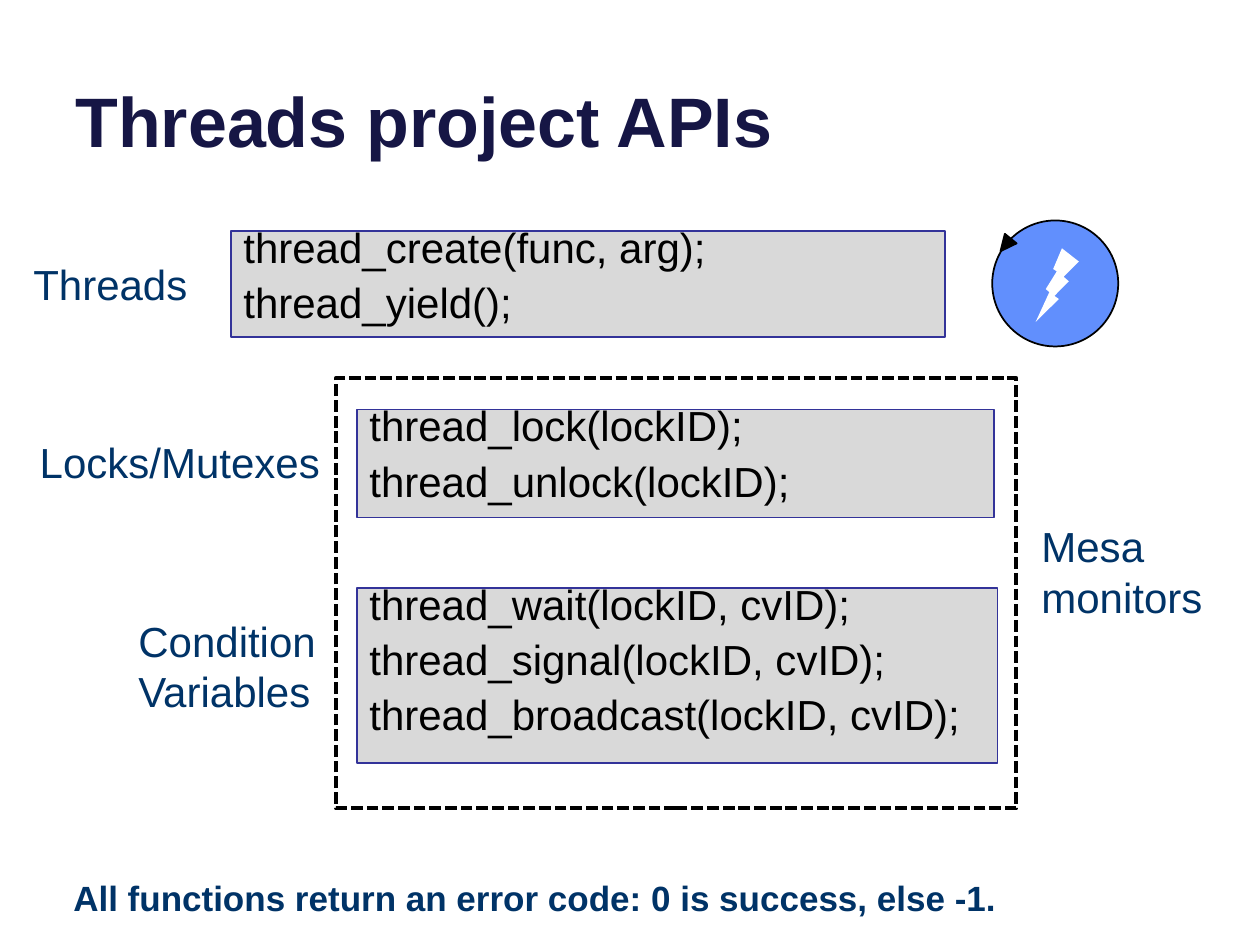
from dataclasses import dataclass

import pptx
import pptx.dml.color
import pptx.enum.dml
import pptx.enum.shapes
import pptx.enum.text
import pptx.util

COLS, ROWS = 120, 90  # twelve cells to the inch
NAVY, BLACK, WHITE = "003367", "000000", "FFFFFF"
KIND = pptx.enum.shapes.MSO_SHAPE

deck = pptx.Presentation()
deck.slide_width = pptx.util.Inches(10)
deck.slide_height = pptx.util.Inches(7.5)
slide = deck.slides.add_slide(deck.slide_layouts[5])


@dataclass
class Cell:
    col: float
    row: float
    wide: float
    high: float

    def box(self) -> tuple:
        across, down = deck.slide_width / COLS, deck.slide_height / ROWS
        return (round(self.col * across), round(self.row * down),
                round(self.wide * across), round(self.high * down))


@dataclass
class Code:
    cell: Cell
    lines: tuple


@dataclass
class Label:
    text: str
    cell: Cell
    wrap: bool = True
    size: int = 24
    bold: bool = False


def shade(code: str) -> pptx.dml.color.RGBColor:
    return pptx.dml.color.RGBColor.from_string(code)


def style(para, size: int, color: str, bold: bool = False) -> None:
    para.alignment = pptx.enum.text.PP_ALIGN.LEFT
    for run in para.runs:
        run.font.name = "Arial"
        run.font.size = pptx.util.Pt(size)
        run.font.bold = bold
        run.font.color.rgb = shade(color)


def draw(kind, cell: Cell, fill: str = "", line: str = "", width: float = 1):
    shape = slide.shapes.add_shape(kind, *cell.box())
    shape.shadow.inherit = False
    if fill:
        shape.fill.solid()
        shape.fill.fore_color.rgb = shade(fill)
    else:
        shape.fill.background()
    if line:
        shape.line.color.rgb = shade(line)
        shape.line.width = pptx.util.Pt(width)
    else:
        shape.line.fill.background()
    return shape


def panel(code: Code) -> None:
    shape = draw(KIND.RECTANGLE, code.cell, "D9D9D9", "333399")
    frame = shape.text_frame
    frame.text = "\n".join(code.lines)
    frame.word_wrap = True
    frame.vertical_anchor = pptx.enum.text.MSO_ANCHOR.TOP
    for index, para in enumerate(frame.paragraphs):
        style(para, 24, BLACK)
        para.line_spacing = 0.65
        para.space_before = pptx.util.Pt(12.8 if index else 0)


def label(item: Label) -> None:
    frame = slide.shapes.add_textbox(*item.cell.box()).text_frame
    frame.text = item.text
    frame.word_wrap = item.wrap
    frame.auto_size = pptx.enum.text.MSO_AUTO_SIZE.SHAPE_TO_FIT_TEXT
    style(frame.paragraphs[0], item.size, NAVY, item.bold)


# Title
title = slide.shapes.title
title.left, title.top, title.width, title.height = Cell(6, -4.4, 108, 20.4).box()
title.text_frame.text = "Threads project APIs"
title.text_frame.vertical_anchor = pptx.enum.text.MSO_ANCHOR.BOTTOM
style(title.text_frame.paragraphs[0], 40, "161645", True)

# Thread icon: disc, bolt and arrow tip
draw(KIND.OVAL, Cell(94.5, 21, 12, 12), "618FFD", BLACK)
bolt = draw(KIND.LIGHTNING_BOLT, Cell(98.65, 23.65, 4.1, 7), WHITE)
bolt.element.spPr.xfrm.set("flipH", "1")
tip = draw(KIND.ISOSCELES_TRIANGLE, Cell(95.05, 22.55, 1.45, 1.55), BLACK, BLACK)
tip.rotation = 219

# Code panels
CODES = (
    Code(Cell(22, 22, 68, 10.1),
         ("thread_create(func, arg);", "thread_yield();")),
    Code(Cell(34, 39, 60.7, 10.3),
         ("thread_lock(lockID);", "thread_unlock(lockID);")),
    Code(Cell(34, 56, 61, 16.7),
         ("thread_wait(lockID, cvID);", "thread_signal(lockID, cvID);",
          "thread_broadcast(lockID, cvID);")),
)
for code in CODES:
    panel(code)

# Dashed frame round the monitor calls
frame = draw(KIND.RECTANGLE, Cell(32, 36, 64.8, 41), line=BLACK, width=2.25)
frame.line.dash_style = pptx.enum.dml.MSO_LINE.SQUARE_DOT

# Labels and closing note
LABELS = (
    Label("Threads", Cell(2, 24, 17.3, 6.1), wrap=False),
    Label("Locks/Mutexes", Cell(2.6, 41, 29.4, 6.1), wrap=False),
    Label("Condition Variables", Cell(12, 58, 31, 10.9)),
    Label("Mesa monitors", Cell(98, 49, 27, 10.9)),
    Label("All functions return an error code: 0 is success, else -1.",
          Cell(5.8, 82.9, 100.8, 5.3), size=20, bold=True),
)
for item in LABELS:
    label(item)

deck.save("out.pptx")
